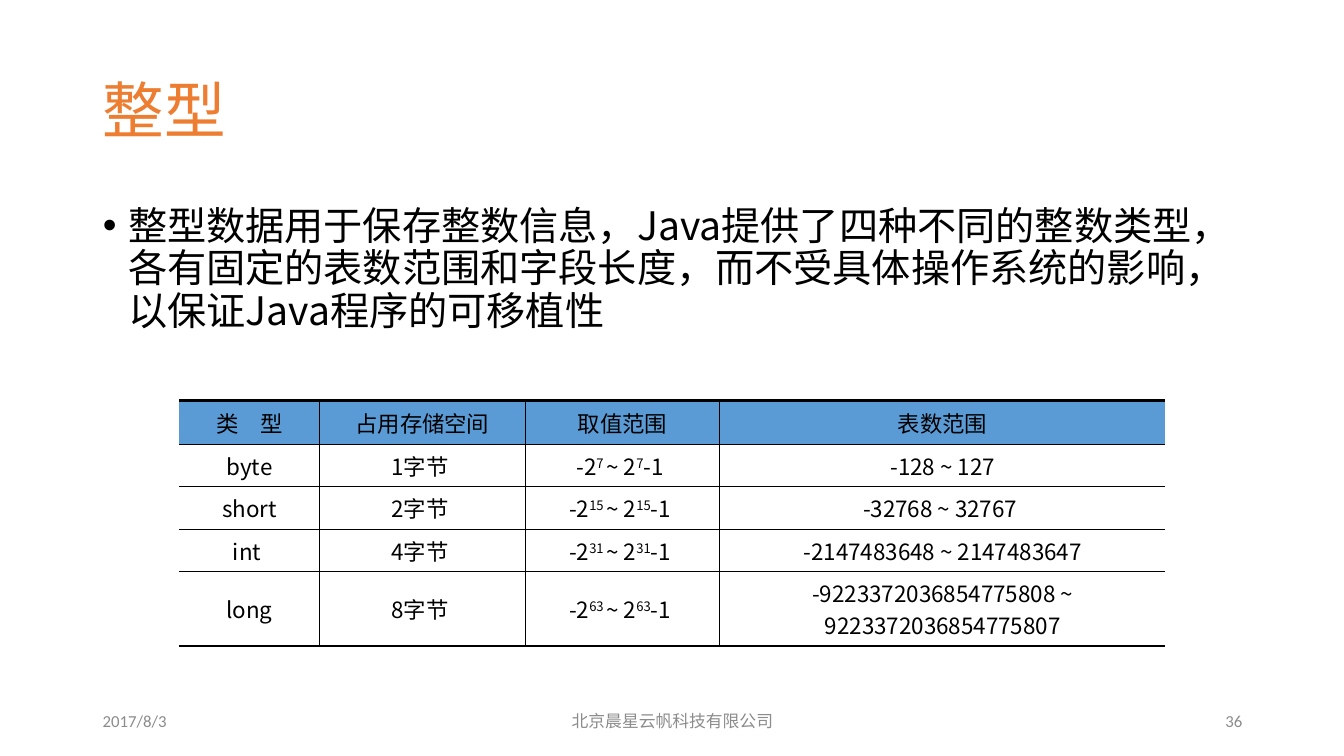
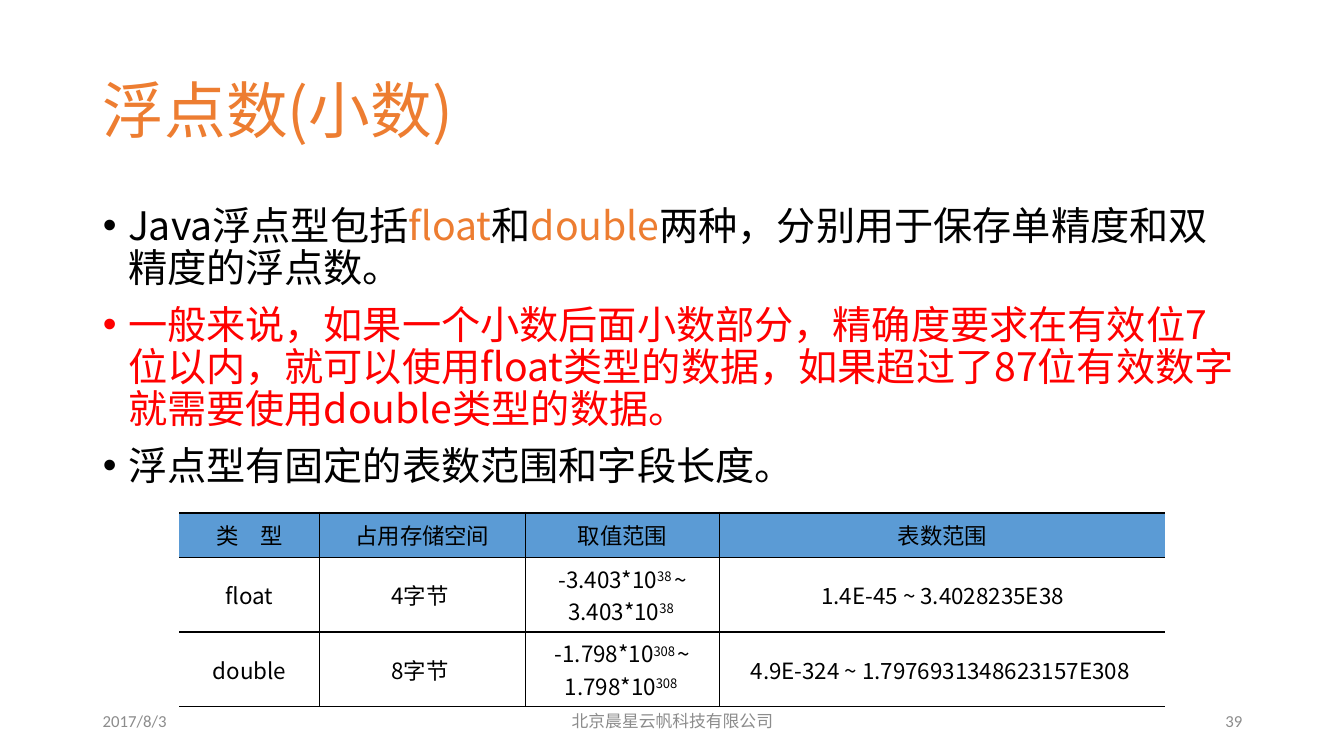
from dataclasses import dataclass

from lxml.etree import SubElement
from pptx import Presentation
from pptx.dml.color import RGBColor as Rgb
from pptx.enum.text import MSO_ANCHOR as Anchor, MSO_AUTO_SIZE as Auto, PP_ALIGN as Align
from pptx.oxml.ns import qn
from pptx.util import Pt

PX = 9144  # EMU; 100 px to the inch


@dataclass(frozen=True)
class Theme:
    font: str = "Noto Sans CJK SC"
    latin: str = "Calibri"
    ink: str = "000000"
    accent: str = "ED7D31"
    alert: str = "FF0000"
    head: str = "5B9BD5"
    muted: str = "8C8C8C"
    title: int = 44
    body: int = 28
    cell: int = 16
    foot: int = 12
    thin: float = 1
    thick: float = 2.25


T = Theme()


def write(para, text, size, color=T.ink, font=T.font, align=Align.LEFT, lines=1.0, gap=0, mark=None):
    """Fill a paragraph; parts between ^ signs take the mark colour, or are raised without one."""
    para.alignment, para.line_spacing, para.space_before = align, lines, Pt(gap)
    for n, part in enumerate(text.split("^")):
        if not part:
            continue
        run = para.add_run()
        run.text = part
        odd = n % 2
        run.font.size = Pt(size)
        run.font.color.rgb = Rgb.from_string(mark if odd and mark else color)
        run.font.name = font
        props = run._r.get_or_add_rPr()
        SubElement(props, qn("a:ea"), typeface=font)
        if odd and not mark:
            props.set("baseline", "30000")


def edge(cell, side, width):
    """Draw one cell border; a width of 0 hides it."""
    line = SubElement(cell._tc.get_or_add_tcPr(), qn(f"a:ln{side}"), w=str(Pt(width)))
    if width:
        SubElement(SubElement(line, qn("a:solidFill")), qn("a:srgbClr"), val=T.ink)
    else:
        SubElement(line, qn("a:noFill"))


HEAD = ("类　型", "占用存储空间", "取值范围", "表数范围")
COLS = (139, 204, 193, 442)
HEAD_H, ONE, TWO = 44, 42, 74  # heights of the head and of rows with one or two lines
FOOT = (
    (92, 300, Align.LEFT, T.latin),
    (442, 450, Align.CENTER, T.font),
    (942, 300, Align.RIGHT, T.latin),
)

PAGES = (
    dict(
        title="整型", page="36", top=397, base=T.thick, highs=(HEAD_H, ONE, ONE, ONE, TWO),
        body=(
            ("整型数据用于保存整数信息，Java提供了四种不同的整数类型，各有固定的表数范围和字段长度，"
             "而不受具体操作系统的影响，以保证Java程序的可移植性", T.ink),
        ),
        rows=(
            ("byte", "1字节 ", "-2^7 ^~ 2^7^-1 ", "-128 ~ 127"),
            ("short", "2字节 ", "-2^15 ^~ 2^15^-1 ", "-32768 ~ 32767 "),
            ("int ", "4字节 ", "-2^31 ^~ 2^31^-1 ", "-2147483648 ~ 2147483647"),
            ("long", "8字节 ", "-2^63 ^~ 2^63^-1 ", "-9223372036854775808 ~ 9223372036854775807"),
        ),
    ),
    dict(
        title="浮点数(小数)", page="39", top=509, base=T.thin, highs=(HEAD_H, TWO, TWO),
        body=(
            ("Java浮点型包括^float^和^double^两种，分别用于保存单精度和双精度的浮点数。", T.ink),
            ("一般来说，如果一个小数后面小数部分，精确度要求在有效位7位以内，就可以使用float类型的数据，"
             "如果超过了87位有效数字就需要使用double类型的数据。", T.alert),
            ("浮点型有固定的表数范围和字段长度。", T.ink),
        ),
        rows=(
            ("float", "4字节 ", "-3.403*10^38 ^~ 3.403*10^38 ^", "1.4E-45 ~ 3.4028235E38"),
            ("double", "8字节 ", "-1.798*10^308 ^~ 1.798*10^308 ^", "4.9E-324 ~ 1.7976931348623157E308 "),
        ),
    ),
)

deck = Presentation()
deck.slide_width, deck.slide_height = 1333 * PX, 750 * PX

for page in PAGES:
    slide = deck.slides.add_slide(deck.slide_layouts[1])
    title, body = slide.placeholders
    for shape, box, anchor in (
        (title, (92, 40, 869, 145), Anchor.MIDDLE),
        (body, (92, 200, 1150, 476), Anchor.TOP),
    ):
        shape.left, shape.top, shape.width, shape.height = (n * PX for n in box)
        shape.text_frame.vertical_anchor = anchor
        shape.text_frame.auto_size = Auto.NONE
    write(title.text_frame.paragraphs[0], page["title"], T.title, T.accent, lines=0.9)

    for n, (text, color) in enumerate(page["body"]):
        para = body.text_frame.add_paragraph() if n else body.text_frame.paragraphs[0]
        props = para._p.get_or_add_pPr()
        props.set("marL", str(25 * PX))
        props.set("indent", str(-25 * PX))
        write(para, text, T.body, color, lines=0.9, gap=10 if n else 0, mark=T.accent)

    for (left, width, align, font), text in zip(FOOT, ("2017/8/3", "北京晨星云帆科技有限公司", page["page"])):
        frame = slide.shapes.add_textbox(left * PX, 695 * PX, width * PX, 40 * PX).text_frame
        frame.word_wrap = True
        frame.vertical_anchor = Anchor.MIDDLE
        write(frame.paragraphs[0], text, T.foot, T.muted, font, align)

    rows, highs = (HEAD, *page["rows"]), page["highs"]
    table = slide.shapes.add_table(
        len(rows), len(COLS), 178 * PX, page["top"] * PX, sum(COLS) * PX, sum(highs) * PX
    ).table
    table.horz_banding = table.first_row = False
    for col, width in zip(table.columns, COLS):
        col.width = width * PX
    for r, (texts, high) in enumerate(zip(rows, highs)):
        table.rows[r].height = high * PX
        for c, text in enumerate(texts):
            cell = table.cell(r, c)
            edge(cell, "L", T.thin if c else 0)
            edge(cell, "R", T.thin if c < len(COLS) - 1 else 0)
            edge(cell, "T", T.thin if r else T.thick)
            edge(cell, "B", T.thin if r < len(rows) - 1 else page["base"])
            if r:
                cell.fill.background()
            else:
                cell.fill.solid()
                cell.fill.fore_color.rgb = Rgb.from_string(T.head)
            cell.vertical_anchor = Anchor.MIDDLE
            cell.margin_left = cell.margin_right = 13 * PX
            cell.margin_top = cell.margin_bottom = 5 * PX
            write(cell.text_frame.paragraphs[0], text, T.cell, align=Align.CENTER)

deck.save("out.pptx")
